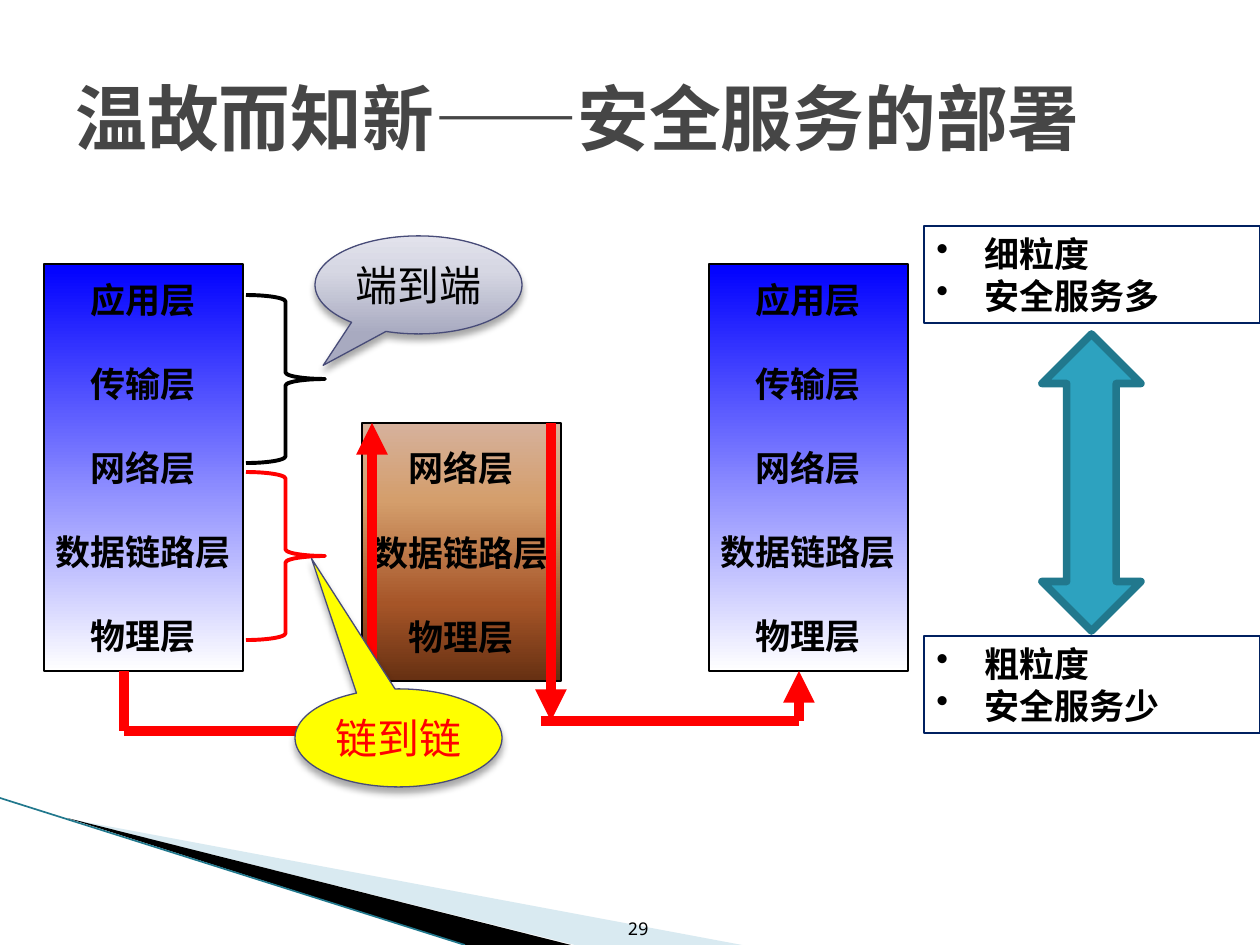
from lxml import etree
from pptx import Presentation
from pptx import util as u
from pptx.dml.color import RGBColor
from pptx.enum import shapes, text
from pptx.oxml import parse_xml
from pptx.oxml.ns import qn

SCALE = 914400 / 126
NS = 'xmlns:a="http://schemas.openxmlformats.org/drawingml/2006/main"'
KIND = shapes.MSO_SHAPE
ALIGN = text.PP_ALIGN
ANCHOR = text.MSO_ANCHOR


def px(value):
    return u.Emu(round(value * SCALE))


def rgb(value):
    return RGBColor.from_string(value)


def write(shape, lines, font, size, color="000000", bold=False, align=ALIGN.LEFT,
          anchor=ANCHOR.MIDDLE, wrap=True, gap=0, bullet=None, inset=None):
    """Fill a shape with one paragraph per line."""
    frame = shape.text_frame
    frame.word_wrap = wrap
    frame.vertical_anchor = anchor
    if inset is not None:
        frame.margin_left = frame.margin_right = px(inset)
        frame.margin_top = frame.margin_bottom = px(inset)
    for index, line in enumerate(lines):
        paragraph = frame.paragraphs[0] if index == 0 else frame.add_paragraph()
        paragraph.alignment = align
        if index and gap:
            paragraph.space_before = u.Pt(gap)
        if bullet:
            properties = paragraph._p.get_or_add_pPr()
            properties.set("marL", str(px(48)))
            properties.set("indent", str(-px(48)))
            etree.SubElement(properties, qn("a:buChar")).set("char", bullet)
        run = paragraph.add_run()
        run.text = line
        run.font.name = font
        run.font.size = u.Pt(size)
        run.font.bold = bold
        run.font.color.rgb = rgb(color)


class SlideBuilder:
    sans = "Noto Sans Mono"
    layer_font = "Comic Neue"
    note_font = "Cabin"
    red = "FF0000"

    def __init__(self, slide):
        self.slide = slide

    def paint(self, shape, fill=None, line=None, width=0.75):
        shape.shadow.inherit = False
        if fill:
            shape.fill.solid()
            shape.fill.fore_color.rgb = rgb(fill)
        else:
            shape.fill.background()
        if line:
            shape.line.color.rgb = rgb(line)
            shape.line.width = u.Pt(width)
        else:
            shape.line.fill.background()

    def shape(self, kind, box, fill=None, line=None, width=0.75):
        shape = self.slide.shapes.add_shape(kind, *map(px, box))
        self.paint(shape, fill, line, width)
        return shape

    def gradient(self, shape, stops, angle):
        stops_xml = "".join(
            f'<a:gs pos="{position * 1000}"><a:srgbClr val="{color}"/></a:gs>'
            for position, color in stops)
        fill = parse_xml(f'<a:gradFill {NS} rotWithShape="1"><a:gsLst>{stops_xml}</a:gsLst>'
                         f'<a:lin ang="{angle * 60000}" scaled="0"/></a:gradFill>')
        properties = shape._element.spPr
        properties.replace(properties.find(qn("a:noFill")), fill)

    def textbox(self, box, lines, **style):
        write(self.slide.shapes.add_textbox(*map(px, box)), lines, **style)

    def polygon(self, points, fill, alpha=None):
        start, *rest = points
        builder = self.slide.shapes.build_freeform(*start, scale=SCALE)
        builder.add_line_segments(rest, close=True)
        shape = builder.convert_to_shape()
        self.paint(shape, fill)
        if alpha:
            color = shape._element.spPr.find(f'{qn("a:solidFill")}/{qn("a:srgbClr")}')
            etree.SubElement(color, qn("a:alpha")).set("val", str(alpha * 1000))

    def line(self, start, end, color, width, arrow=False):
        connector = self.slide.shapes.add_connector(
            shapes.MSO_CONNECTOR.STRAIGHT, *map(px, (*start, *end)))
        connector.line.color.rgb = rgb(color)
        connector.line.width = u.Pt(width)
        if arrow:
            tail = etree.SubElement(connector.line._get_or_add_ln(), qn("a:tailEnd"))
            tail.set("type", "triangle")
        etree.SubElement(connector._element.spPr, qn("a:effectLst"))

    def stack(self, box, layers, stops):
        shape = self.shape(KIND.RECTANGLE, box, line="000000")
        self.gradient(shape, stops, 90)
        write(shape, layers, self.layer_font, 20, bold=True,
              align=ALIGN.CENTER, wrap=False, gap=24)

    def brace(self, top, color):
        self.shape(KIND.RIGHT_BRACE, (246, top, 79, 168), line=color, width=2.25)

    def callout(self, left, top, label, pointer, color, fill=None, stops=None):
        shape = self.shape(KIND.OVAL_CALLOUT, (left, top, 207, 98), fill, "474B78")
        shape.adjustments[0], shape.adjustments[1] = pointer
        if stops:
            self.gradient(shape, stops, 270)
        effects = shape._element.spPr.find(qn("a:effectLst"))
        effects.append(parse_xml(
            f'<a:outerShdw {NS} blurRad="{u.Pt(4)}" dist="{u.Pt(3)}" dir="5400000" '
            'rotWithShape="0"><a:srgbClr val="000000"><a:alpha val="35000"/>'
            '</a:srgbClr></a:outerShdw>'))
        write(shape, [label], self.sans, 24, color, align=ALIGN.CENTER, inset=0)

    def note(self, top, lines):
        shape = self.shape(KIND.RECTANGLE, (924, top, 336, 97), line="002060")
        write(shape, lines, self.note_font, 20, bold=True, anchor=ANCHOR.TOP, bullet="•")


def main():
    presentation = Presentation()
    presentation.slide_width, presentation.slide_height = px(1260), px(945)
    builder = SlideBuilder(presentation.slides.add_slide(presentation.slide_layouts[6]))

    # Corner decoration
    builder.polygon([(69, 819), (742, 945), (575, 945)], "A0CBDC", alpha=40)
    builder.polygon([(67, 818), (571, 945), (465, 945)], "000000")
    builder.line((0, 798), (465, 945), "21788D", 0.95)

    # Title
    builder.textbox((63, 38, 1134, 158), ["温故而知新——安全服务的部署"],
                    font=builder.sans, size=41, color="464646", bold=True)

    # Protocol stacks: two hosts and the router between them
    layers = ["应用层", "传输层", "网络层", "数据链路层", "物理层"]
    for left in (44, 709):
        builder.stack((left, 264, 199, 407), layers, [(0, "0000FF"), (100, "FFFFFF")])
    builder.stack((362, 423, 199, 258), layers[2:],
                  [(0, "D6B19C"), (30, "D49E6C"), (70, "A65528"), (100, "663012")])

    # Data path through the router
    for start, end, arrow in [
        ((124, 671), (124, 731), False),
        ((124, 731), (382, 731), False),
        ((372, 731), (372, 423), True),
        ((551, 423), (551, 721), True),
        ((541, 721), (799, 721), False),
        ((799, 721), (799, 671), True),
    ]:
        builder.line(start, end, builder.red, 6, arrow)

    # Braces and callouts
    builder.brace(295, "000000")
    builder.callout(315, 236, "端到端", (-0.46, 0.82), "000000",
                    stops=[(0, "A8AAC0"), (65, "D6D7E3"), (100, "E2E2EC")])
    builder.brace(472, builder.red)
    builder.callout(295, 689, "链到链", (-0.42, -1.83), builder.red, fill="FFFF00")

    # Granularity scale
    builder.shape(KIND.UP_DOWN_ARROW, (1042, 334, 99, 297), "2DA2BF", "21788D", 4.33)
    builder.note(226, ["细粒度", "安全服务多"])
    builder.note(636, ["粗粒度", "安全服务少"])

    # Page number
    builder.textbox((590, 883, 71, 62), ["29"], font=builder.sans, size=10,
                    align=ALIGN.RIGHT, anchor=ANCHOR.BOTTOM)

    presentation.save("out.pptx")


if __name__ == "__main__":
    main()
